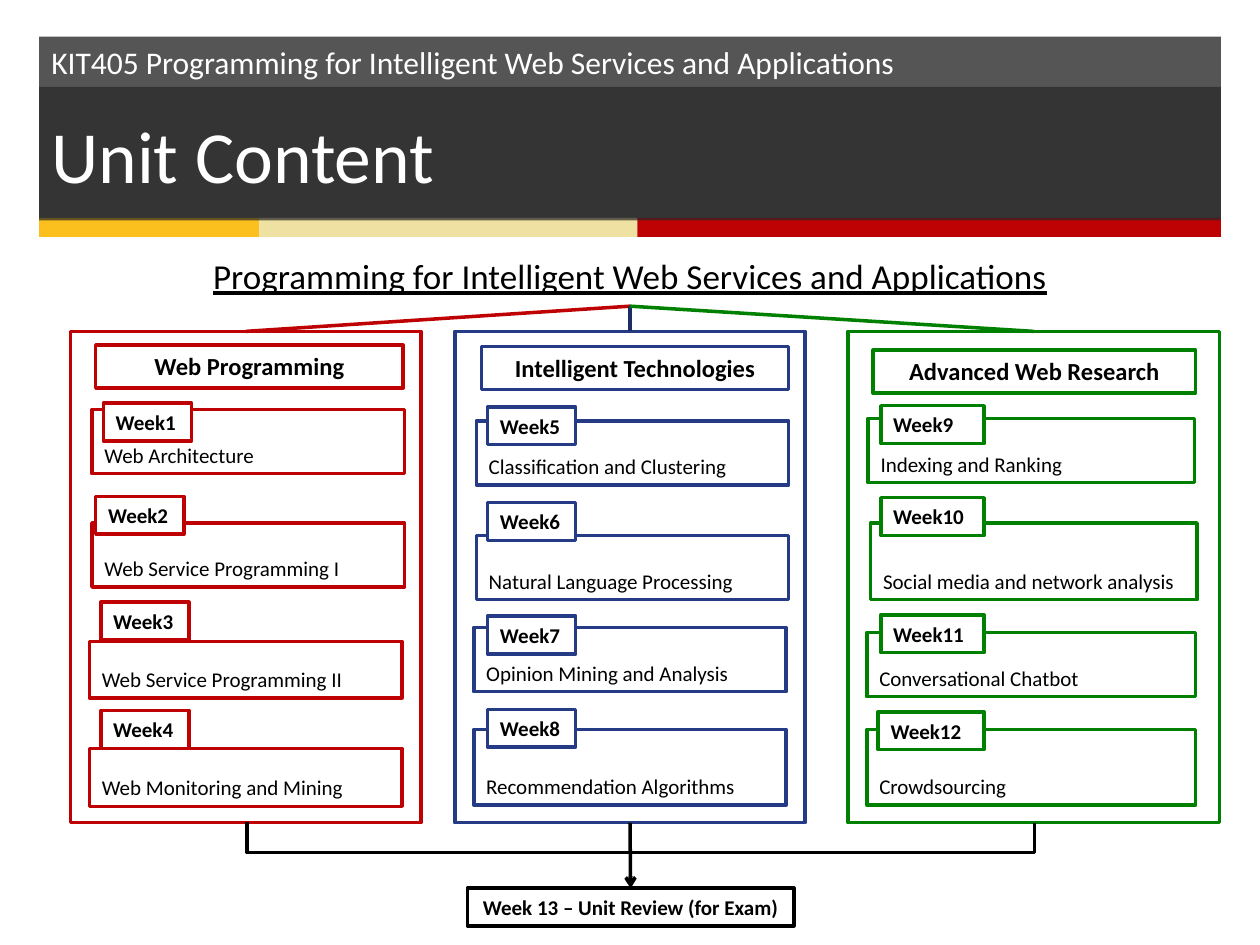
"""Build the Unit Content slide: three framed columns of weekly topics leading to a review."""
import pptx
import pptx.util
import pptx.dml.color
import pptx.enum.shapes
import pptx.enum.text
import pptx.oxml.ns
import lxml.etree

RGB = pptx.dml.color.RGBColor
WHITE = RGB(0xFF, 0xFF, 0xFF)
BLACK = RGB(0x00, 0x00, 0x00)
COAL = RGB(0x0D, 0x0D, 0x0D)
SLATE = RGB(0x26, 0x26, 0x26)
GOLD = RGB(0xFB, 0xC0, 0x1E)
CREAM = RGB(0xEF, 0xE1, 0xA2)
RED = RGB(0xBE, 0x02, 0x04)
BLUE = RGB(0x26, 0x3B, 0x86)
NAVY = RGB(0x1C, 0x2C, 0x64)
GREEN = RGB(0x00, 0x80, 0x00)
PX = 9144
KIND = pptx.enum.shapes.MSO_CONNECTOR
LEFT, CENTER = pptx.enum.text.PP_ALIGN.LEFT, pptx.enum.text.PP_ALIGN.CENTER
TOP = pptx.enum.text.MSO_ANCHOR.TOP
MIDDLE = pptx.enum.text.MSO_ANCHOR.MIDDLE
BOTTOM = pptx.enum.text.MSO_ANCHOR.BOTTOM
qn = pptx.oxml.ns.qn

deck = pptx.Presentation()
deck.slide_width, deck.slide_height = 1000 * PX, 750 * PX
slide = deck.slides.add_slide(deck.slide_layouts[6])
shapes = slide.shapes


def box(at, fill, line=None, text="", size=12, bold=False, color=BLACK,
        align=LEFT, anchor=TOP, under=False, alpha=None):
    rect = shapes.add_shape(pptx.enum.shapes.MSO_SHAPE.RECTANGLE, *[n * PX for n in at])
    rect.shadow.inherit = False
    if fill is None:
        rect.fill.background()
    else:
        rect.fill.solid()
        rect.fill.fore_color.rgb = fill
    if alpha:
        tone = rect._element.spPr.find(qn("a:solidFill"))[0]
        lxml.etree.SubElement(tone, qn("a:alpha")).set("val", str(alpha * 1000))
    if line is None:
        rect.line.fill.background()
    else:
        rect.line.color.rgb = line
        rect.line.width = pptx.util.Pt(2)
    if text:
        frame = rect.text_frame
        frame.word_wrap = True
        frame.vertical_anchor = anchor
        para = frame.paragraphs[0]
        para.alignment = align
        run = para.add_run()
        run.text = text
        run.font.name = "Calibri"
        run.font.size = pptx.util.Pt(size)
        run.font.bold = bold
        run.font.underline = under
        run.font.color.rgb = color
    return rect


def link(kind, ends, color):
    wire = shapes.add_connector(kind, *[n * PX for n in ends])
    wire.line.color.rgb = color
    wire.line.width = pptx.util.Pt(2)
    lxml.etree.SubElement(wire._element.spPr, qn("a:effectLst"))
    return wire


box((31, 29, 938, 145), COAL, alpha=70)
for left, width, color in [(31, 175, GOLD), (206, 300, CREAM), (506, 463, RED)]:
    box((left, 173, width, 15), color)
box((31, 29, 814, 40), None, size=18, color=WHITE, anchor=MIDDLE,
    text="KIT405 Programming for Intelligent Web Services and Applications")
box((31, 69, 938, 106), SLATE, text="Unit Content", size=42, color=WHITE,
    anchor=MIDDLE, alpha=70)
head = box((151, 194, 698, 49), WHITE, size=20, align=CENTER, anchor=MIDDLE, under=True,
           text="Programming for Intelligent Web Services and Applications")

columns = [
    (56, 278, RED, RED, "Web Programming", (76, 274, 244), [
        ("Week1", (82, 320, 70), "Web Architecture", (73, 325, 248, 51)),
        ("Week2", (76, 394, 70), "Web Service Programming I", (73, 415, 248, 51)),
        ("Week3", (80, 478, 70), "Web Service Programming II", (71, 509, 248, 45)),
        ("Week4", (80, 564, 70), "Web Monitoring and Mining", (71, 594, 248, 46))]),
    (361, 278, BLUE, NAVY, "Intelligent Technologies", (382, 275, 244), [
        ("Week5", (387, 323, 70), "Classification and Clustering", (378, 334, 248, 51)),
        ("Week6", (387, 399, 70), "Natural Language Processing", (378, 425, 248, 51)),
        ("Week7", (387, 489, 70), "Opinion Mining and Analysis", (376, 498, 248, 51)),
        ("Week8", (387, 563, 70), "Recommendation Algorithms", (376, 579, 248, 60))]),
    (673, 295, GREEN, GREEN, "Advanced Web Research", (693, 278, 256), [
        ("Week9", (699, 322, 82), "Indexing and Ranking", (689, 332, 259, 51)),
        ("Week10", (699, 395, 82), "Social media and network analysis", (691, 415, 259, 61)),
        ("Week11", (699, 488, 82), "Conversational Chatbot", (688, 502, 261, 51)),
        ("Week12", (697, 565, 84), "Crowdsourcing", (688, 579, 261, 60))]),
]
panels = []
for left, width, color, tint, name, spot, weeks in columns:
    panel = box((left, 263, width, 390), WHITE, color)
    panels.append(panel)
    spoke = link(KIND.STRAIGHT, (500, 243, left + width // 2, 263), tint)
    spoke.begin_connect(head, 2)
    spoke.end_connect(panel, 0)
    box((*spot, 34), WHITE, color, name, 14, True, align=CENTER)
    for week, tag, topic, place in weeks:
        box(place, WHITE, color, topic, anchor=BOTTOM)
        box((*tag, 30), WHITE, color, week, bold=True)

review = box((371, 705, 259, 30), WHITE, BLACK, "Week 13 – Unit Review (for Exam)",
             bold=True, align=CENTER)
fork = link(KIND.ELBOW, (509, 340, 508, 965), BLACK)
fork._element.spPr.find(qn("a:xfrm")).set("rot", str(270 * 60000))
guides = fork._element.spPr.find(qn("a:prstGeom")).get_or_add_avLst()
guide = lxml.etree.SubElement(guides, qn("a:gd"))
guide.set("name", "adj1")
guide.set("fmla", "val 2500000")

arrow = link(KIND.STRAIGHT, (500, 653, 500, 705), BLACK)
arrow.begin_connect(panels[1], 2)
arrow.end_connect(review, 0)
lxml.etree.SubElement(arrow.line._get_or_add_ln(), qn("a:tailEnd")).set("type", "arrow")

deck.save("out.pptx")
